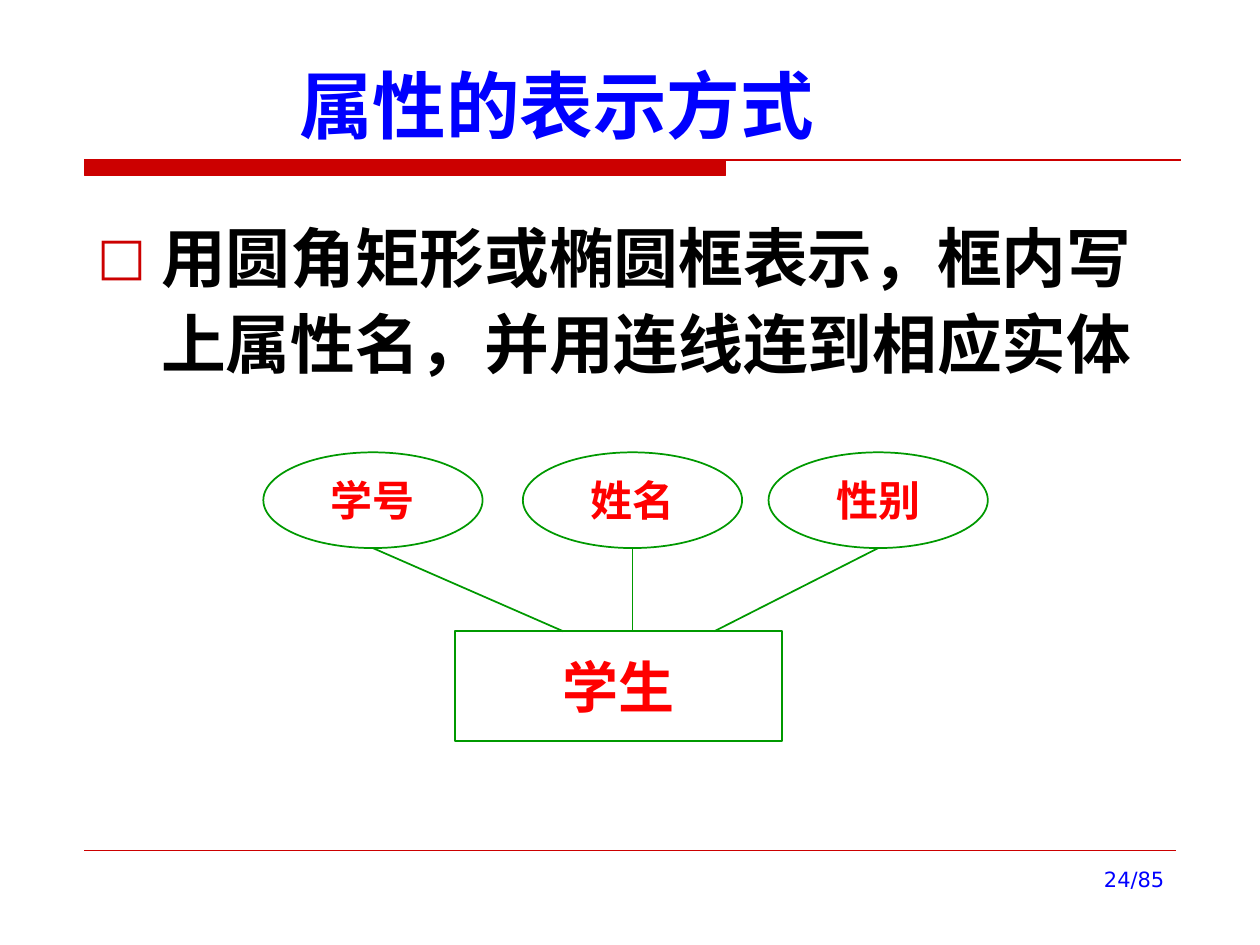
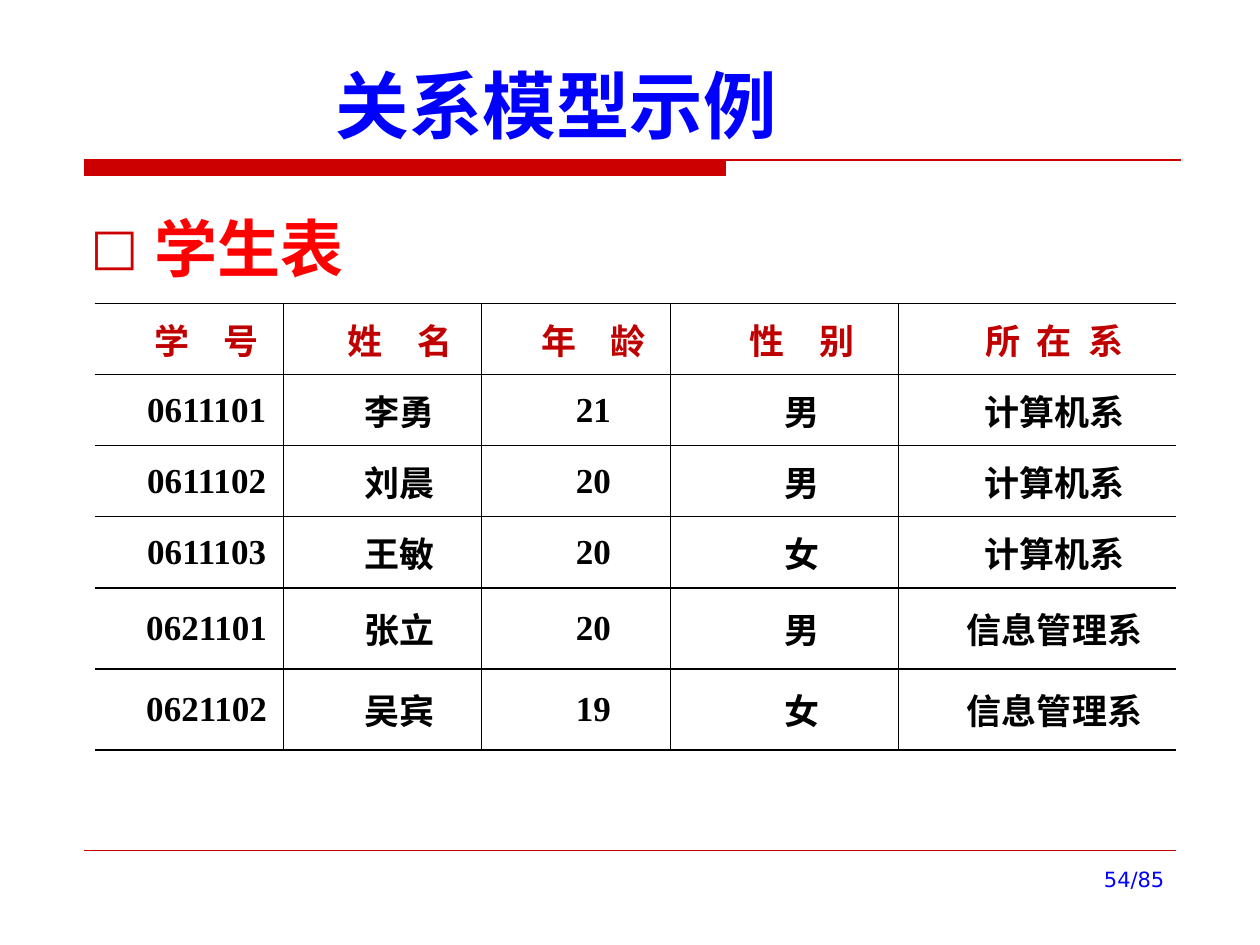
"""Build two database lecture slides: attribute notation and a relation example."""
from dataclasses import dataclass

from lxml import etree
from pptx import Presentation
from pptx.dml.color import RGBColor
from pptx.enum.shapes import MSO_CONNECTOR, MSO_SHAPE
from pptx.enum.text import MSO_ANCHOR, MSO_AUTO_SIZE, PP_ALIGN
from pptx.oxml.ns import qn
from pptx.util import Inches, Pt

CENTER, RIGHT = PP_ALIGN.CENTER, PP_ALIGN.RIGHT
TOP, MIDDLE, BOTTOM = MSO_ANCHOR.TOP, MSO_ANCHOR.MIDDLE, MSO_ANCHOR.BOTTOM
NO_FIT = MSO_AUTO_SIZE.NONE
RECT, OVAL = MSO_SHAPE.RECTANGLE, MSO_SHAPE.OVAL
STRAIGHT = MSO_CONNECTOR.STRAIGHT
COLS, ROWS = 100, 75


@dataclass(frozen=True)
class Theme:
    blue: str = "0000FF"
    red: str = "FF0000"
    band: str = "CC0000"
    header: str = "C00000"
    green: str = "009900"
    black: str = "000000"
    heading_font: str = "Noto Sans CJK SC"
    serif: str = "Times New Roman"
    page_font: str = "DejaVu Sans"
    title: float = 42
    body: float = 37
    list_title: float = 36
    entity: float = 32
    attribute: float = 24
    cell: float = 20
    page: float = 12


class Deck:
    """Hold the theme, the grid and the current slide."""

    def __init__(self, prs, theme):
        self.prs, self.theme, self.s = prs, theme, None

    def x(self, cols):
        return round(self.prs.slide_width * cols / COLS)

    def y(self, rows):
        return round(self.prs.slide_height * rows / ROWS)

    def box(self, left, top, width, height):
        return self.x(left), self.y(top), self.x(width), self.y(height)

    def add_slide(self, title, page):
        self.s = self.prs.slides.add_slide(self.prs.slide_layouts[1])
        self.band()
        self.line((6.7, 67.5), (93.3, 67.5), self.theme.band, 0.25)
        p = self.placeholder(self.s.shapes.title, (6.3, 3.3, 75.7, 9), BOTTOM)
        p.alignment = CENTER
        self.run(p, title, self.theme.title, self.theme.blue)
        tf = self.s.shapes.add_textbox(*self.box(71.7, 68.3, 21.7, 5.2)).text_frame
        tf.word_wrap = True
        p = tf.paragraphs[0]
        p.alignment = RIGHT
        self.run(p, page, self.theme.page, self.theme.blue, self.theme.page_font, False)

    def run(self, p, text, size, color, font=None, bold=True):
        r = p.add_run()
        r.text = text
        formats = {"size": Pt(size), "bold": bold, "name": font or self.theme.heading_font}
        for name, value in formats.items():
            setattr(r.font, name, value)
        r.font.color.rgb = RGBColor.from_string(color)
        ea = etree.SubElement(r.font._element, qn("a:ea"))
        ea.set("typeface", self.theme.heading_font)
        return r

    def placeholder(self, sp, area, anchor):
        for name, value in zip(("left", "top", "width", "height"), self.box(*area)):
            setattr(sp, name, value)
        tf = sp.text_frame
        formats = {"word_wrap": True, "auto_size": NO_FIT, "vertical_anchor": anchor}
        for name, value in formats.items():
            setattr(tf, name, value)
        return tf.paragraphs[0]

    def bullet(self, text, area, size, color):
        p = self.placeholder(self.s.placeholders[1], area, TOP)
        p.line_spacing = 1.1
        self.run(p, text, size, color)
        pPr = p._p.get_or_add_pPr()
        pPr.set("marL", str(Inches(0.51)))
        pPr.set("indent", str(Inches(-0.51)))
        clr = etree.SubElement(pPr, qn("a:buClr"))
        etree.SubElement(clr, qn("a:srgbClr")).set("val", self.theme.band)
        etree.SubElement(pPr, qn("a:buSzPct")).set("val", "80000")
        etree.SubElement(pPr, qn("a:buFont")).set("typeface", self.theme.page_font)
        etree.SubElement(pPr, qn("a:buChar")).set("char", "□")

    def stroke(self, line, color, width):
        line.color.rgb = RGBColor.from_string(color)
        line.width = Pt(width)

    def band(self):
        left, mid, right = self.x(6.7), self.x(57.6), self.x(93.7)
        top, low = self.y(12.7), self.y(13.9)
        fb = self.s.shapes.build_freeform(left, top)
        fb.add_line_segments([(mid, top), (mid, low), (left, low)], close=True)
        fb.move_to(left, top)
        fb.add_line_segments([(right, top)], close=False)
        sp = fb.convert_to_shape()
        sp.shadow.inherit = False
        sp.fill.solid()
        sp.fill.fore_color.rgb = RGBColor.from_string(self.theme.band)
        self.stroke(sp.line, self.theme.band, 0.75)

    def line(self, start, end, color, width=1):
        c = self.s.shapes.add_connector(
            STRAIGHT, self.x(start[0]), self.y(start[1]), self.x(end[0]), self.y(end[1]))
        self.stroke(c.line, color, width)
        etree.SubElement(c._element.spPr, qn("a:effectLst"))

    def node(self, kind, text, area, size):
        sp = self.s.shapes.add_shape(kind, *self.box(*area))
        sp.shadow.inherit = False
        sp.fill.background()
        self.stroke(sp.line, self.theme.green, 1)
        tf = sp.text_frame
        tf.word_wrap, tf.vertical_anchor = False, MIDDLE
        p = tf.paragraphs[0]
        p.alignment = CENTER
        self.run(p, text, size, self.theme.red, self.theme.serif)

    def borders(self, cell, hidden):
        tcPr = cell._tc.get_or_add_tcPr()
        for i, side in enumerate("LRTB"):
            ln = etree.Element(qn(f"a:ln{side}"), w=str(Pt(1)))
            if side in hidden:
                etree.SubElement(ln, qn("a:noFill"))
            else:
                fill = etree.SubElement(ln, qn("a:solidFill"))
                etree.SubElement(fill, qn("a:srgbClr")).set("val", self.theme.black)
            tcPr.insert(i, ln)

    def cell(self, cell, text, color, spacing, hidden):
        formats = {"margin_left": Inches(0.07), "margin_right": Inches(0.07),
                   "margin_top": 0, "margin_bottom": 0, "vertical_anchor": MIDDLE}
        for name, value in formats.items():
            setattr(cell, name, value)
        cell.fill.background()
        self.borders(cell, hidden)
        p = cell.text_frame.paragraphs[0]
        p.alignment, p.space_before, p.space_after = CENTER, Pt(2.4), Pt(2.4)
        p._p.get_or_add_pPr().set("indent", str(Inches(0.28)))
        style = self.theme.cell, color, self.theme.serif
        if spacing:
            r = self.run(p, text[:-1], *style)
            r.font._element.set("spc", str(round(spacing * 100)))
            text = text[-1]
        self.run(p, text, *style)

    def table(self, left, top, widths, heights, header, records):
        area = self.box(left, top, sum(widths), sum(heights))
        tbl = self.s.shapes.add_table(len(heights), len(widths), *area).table
        tbl.first_row = tbl.horz_banding = False
        for col, width in zip(tbl.columns, widths):
            col.width = self.x(width)
        for row, height in zip(tbl.rows, heights):
            row.height = self.y(height)
        hidden = ["L"] + [""] * (len(widths) - 2) + ["R"]
        for j, (text, spacing) in enumerate(header):
            self.cell(tbl.cell(0, j), text, self.theme.header, spacing, hidden[j])
        for i, record in enumerate(records, 1):
            for j, text in enumerate(record):
                self.cell(tbl.cell(i, j), text, self.theme.black, 0, hidden[j])


def attribute_slide(deck):
    th = deck.theme
    deck.add_slide("属性的表示方式", "24/85")
    deck.bullet("用圆角矩形或椭圆框表示，框内写上属性名，并用连线连到相应实体",
                (6.7, 16.2, 86.6, 20.5), th.body, th.black)
    entity_top, top, width, height = 50.1, 35.9, 17.4, 7.6
    deck.node(RECT, "学生", (36.1, entity_top, 26, 8.7), th.entity)
    attributes = [("学号", 20.9, 44.7), ("姓名", 41.5, 50.2), ("性别", 61, 56.7)]
    for text, left, joint in attributes:
        deck.node(OVAL, text, (left, top, width, height), th.attribute)
        deck.line((left + width / 2, top + height), (joint, entity_top), th.green)


def relation_slide(deck):
    th = deck.theme
    deck.add_slide("关系模型示例", "54/85")
    deck.bullet("学生表", (6.2, 15.5, 87.5, 7.9), th.list_title, th.red)
    header = [("学 号", 7.5), ("姓 名", 7.5), ("年 龄", 7.5), ("性 别", 7.5), ("所 在 系", 2.5)]
    records = [
        ("0611101", "李勇", "21", "男", "计算机系"),
        ("0611102", "刘晨", "20", "男", "计算机系"),
        ("0611103", "王敏", "20", "女", "计算机系"),
        ("0621101", "张立", "20", "男", "信息管理系"),
        ("0621102", "吴宾", "19", "女", "信息管理系"),
    ]
    deck.table(7.5, 24.1, [15, 15.7, 15, 18.1, 22], [5.64] * 4 + [6.43] * 2, header, records)


def main():
    prs = Presentation()
    prs.slide_width, prs.slide_height = Inches(10), Inches(7.5)
    deck = Deck(prs, Theme())
    attribute_slide(deck)
    relation_slide(deck)
    prs.save("out.pptx")


if __name__ == "__main__":
    main()
